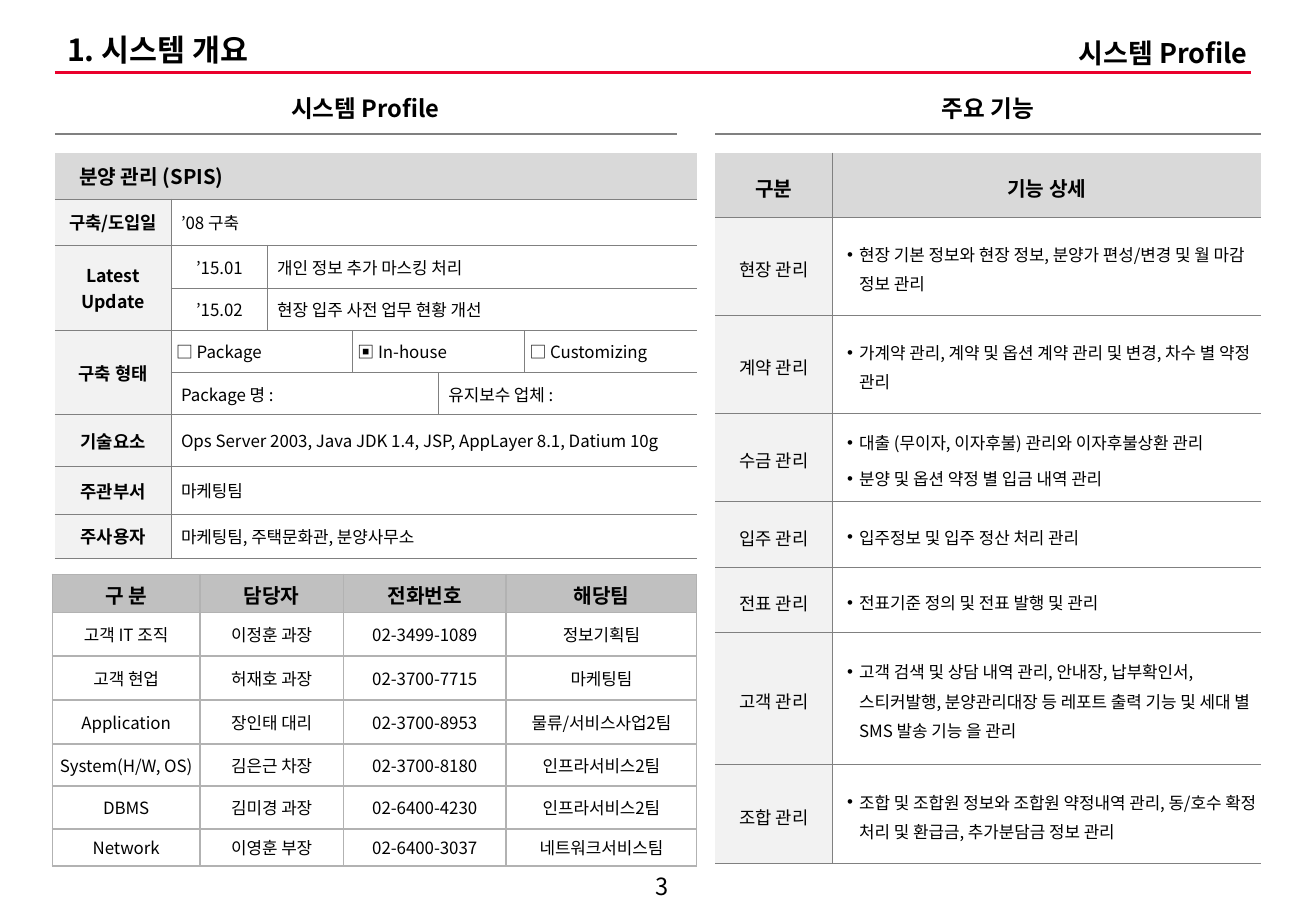
"""Build the system profile slide."""
from pptx import Presentation
from pptx.dml.color import RGBColor
from pptx.enum import shapes, text
from pptx.oxml import ns, xmlchemy
from pptx.util import Pt

FONT = "Noto Sans CJK KR"
BLACK = RGBColor(0x00, 0x00, 0x00)
WHITE = RGBColor(0xFF, 0xFF, 0xFF)
RED = RGBColor(0xEA, 0x00, 0x2C)
GRAY = RGBColor(0x80, 0x80, 0x80)
SILVER = RGBColor(0xB2, 0xB2, 0xB2)
HEAD = RGBColor(0xD9, 0xD9, 0xD9)
DARK = RGBColor(0xC0, 0xC0, 0xC0)
PALE = RGBColor(0xF2, 0xF2, 0xF2)
LEFT, MID, RIGHT = text.PP_ALIGN.LEFT, text.PP_ALIGN.CENTER, text.PP_ALIGN.RIGHT

TITLE = "1. 시스템 개요"
LABELS = [
    ("시스템 Profile", 549.5, 18, 197, 26.5, 16, True, RIGHT, text.MSO_ANCHOR.TOP),
    ("시스템 Profile", 159, 52, 115, 24.5, 14, True, MID, text.MSO_ANCHOR.TOP),
    ("주요 기능", 545, 52, 81, 24.5, 14, True, MID, text.MSO_ANCHOR.TOP),
    ("3", 367, 514, 51, 22.5, 14, False, MID, text.MSO_ANCHOR.MIDDLE),
]
RULES = [(32.5, 741.5, 43, RED, 2.25), (32.5, 401, 79.5, GRAY, 1.5),
         (424, 747.5, 79.5, GRAY, 1.5)]

# Each entry: text, columns spanned, rows spanned
PROFILE = [
    [("분양 관리 (SPIS)", 6, 1)],
    [("구축/도입일", 1, 1), ("’08 구축", 5, 1)],
    [("Latest\nUpdate", 1, 2), ("’15.01", 1, 1), ("개인 정보 추가 마스킹 처리", 4, 1)],
    [("’15.02", 1, 1), ("현장 입주 사전 업무 현황 개선", 4, 1)],
    [("구축 형태", 1, 2), ("□ Package", 2, 1), ("▣ In-house", 2, 1),
     ("□ Customizing", 1, 1)],
    [("Package 명 :", 3, 1), ("유지보수 업체 :", 2, 1)],
    [("기술요소", 1, 1),
     ("Ops Server 2003, Java JDK 1.4, JSP, AppLayer 8.1, Datium 10g", 5, 1)],
    [("주관부서", 1, 1), ("마케팅팀", 5, 1)],
    [("주사용자", 1, 1), ("마케팅팀, 주택문화관, 분양사무소", 5, 1)],
]
STAFF = [
    ("구 분", "담당자", "전화번호", "해당팀"),
    ("고객 IT 조직", "이정훈 과장", "02-3499-1089", "정보기획팀"),
    ("고객 현업", "허재호 과장", "02-3700-7715", "마케팅팀"),
    ("Application", "장인태 대리", "02-3700-8953", "물류/서비스사업2팀"),
    ("System(H/W, OS)", "김은근 차장", "02-3700-8180", "인프라서비스2팀"),
    ("DBMS", "김미경 과장", "02-6400-4230", "인프라서비스2팀"),
    ("Network", "이영훈 부장", "02-6400-3037", "네트워크서비스팀"),
]
TASKS = [
    ("구분", "기능 상세"),
    ("현장 관리", "현장 기본 정보와 현장 정보, 분양가 편성/변경 및 월 마감 정보 관리"),
    ("계약 관리", "가계약 관리, 계약 및 옵션 계약 관리 및 변경, 차수 별 약정 관리"),
    ("수금 관리", "대출 (무이자, 이자후불) 관리와 이자후불상환 관리\n"
     "분양 및 옵션 약정 별 입금 내역 관리"),
    ("입주 관리", "입주정보 및 입주 정산 처리 관리"),
    ("전표 관리", "전표기준 정의 및 전표 발행 및 관리"),
    ("고객 관리", "고객 검색 및 상담 내역 관리, 안내장, 납부확인서, 스티커발행, "
     "분양관리대장 등 레포트 출력 기능 및 세대 별 SMS 발송 기능 을 관리"),
    ("조합 관리", "조합 및 조합원 정보와 조합원 약정내역 관리, 동/호수 확정 처리 및 "
     "환급금, 추가분담금 정보 관리"),
]


def add(node, tag, **attrs):
    kid = xmlchemy.OxmlElement(tag)
    for key, val in attrs.items():
        kid.set(key, str(val))
    node.append(kid)
    return kid


def write(frame, words, size, bold, align, gap=0, ratio=None, dot=False):
    for i, line in enumerate(words.split("\n")):
        para = frame.paragraphs[0] if i == 0 else frame.add_paragraph()
        if dot:
            props = para._p.get_or_add_pPr()
            props.set("marL", str(Pt(7.2)))
            props.set("indent", str(Pt(-7.2)))
            add(props, "a:buFont", typeface="Arial")
            add(props, "a:buChar", char="•")
        para.alignment = align
        para.line_spacing = ratio
        para.space_before = Pt(gap if i else 0)
        para.space_after = Pt(gap)
        run = para.add_run()
        run.text = line
        font = run.font
        font.size, font.bold, font.name = Pt(size), bold, FONT
        font.color.rgb = BLACK
        add(run._r.get_or_add_rPr(), "a:ea", typeface=FONT)


def edge(cell, tones, width):
    props = cell._tc.get_or_add_tcPr()
    for i, (side, tone) in enumerate(zip("LRTB", tones)):
        line = xmlchemy.OxmlElement(f"a:ln{side}")
        line.set("w", str(Pt(width)))
        if tone is None:
            add(line, "a:noFill")
        else:
            add(add(line, "a:solidFill"), "a:srgbClr", val=tone)
        props.insert(i, line)


def grid(slide, x, y, cols, rows):
    frame = slide.shapes.add_table(len(rows), len(cols), Pt(x), Pt(y),
                                   Pt(sum(cols)), Pt(sum(rows)))
    table = frame.table
    table.first_row = table.horz_banding = False
    for col, width in zip(table.columns, cols):
        col.width = Pt(width)
    for row, height in zip(table.rows, rows):
        row.height = Pt(height)
    return table


def dress(cell, fill, pads):
    cell.fill.solid()
    cell.fill.fore_color.rgb = fill
    cell.vertical_anchor = text.MSO_ANCHOR.MIDDLE
    cell.margin_left, cell.margin_right, cell.margin_top, cell.margin_bottom = map(Pt, pads)


def frame(table, r, c, wide=1, tall=1):
    last = len(table.columns)
    for i in range(r, r + tall):
        for j in range(c, c + wide):
            edge(table.cell(i, j), (GRAY if c else None,
                                    GRAY if c + wide < last else None,
                                    GRAY if r else None, GRAY), 0.75)


def profile(slide):
    table = grid(slide, 32.5, 90.5, [69, 57, 50.5, 51, 51, 102],
                 [27.5, 27.5, 25.5, 25, 25, 25, 30.5, 28.5, 26])
    used = set()
    for r, row in enumerate(PROFILE):
        c = 0
        for words, wide, tall in row:
            while (r, c) in used:
                c += 1
            used |= {(r + i, c + j) for i in range(tall) for j in range(wide)}
            cell = table.cell(r, c)
            if wide * tall > 1:
                cell.merge(table.cell(r + tall - 1, c + wide - 1))
            if r == 0:
                look = HEAD, 14.4, 12, True, LEFT
            elif c == 0:
                look = PALE, 0, 10.5, True, MID
            else:
                side = 2.9 if words[0] in "□▣" else 5.8
                look = WHITE, side, 10, False, MID if words.startswith("’15") else LEFT
            fill, pad, size, bold, align = look
            dress(cell, fill, (pad, min(pad, 5.8), 3.6, 3.6))
            write(cell.text_frame, words, size, bold, align)
            frame(table, r, c, wide, tall)


def staff(slide):
    table = grid(slide, 31, 340.5, [87.5, 85, 96.5, 113],
                 [22.5, 26, 26, 26, 25, 25.5, 22])
    for r, row in enumerate(STAFF):
        for c, words in enumerate(row):
            cell, top = table.cell(r, c), r == 0
            pad = 7.9 if c or top else 0
            dress(cell, DARK if top else WHITE, (pad, pad, 3.6, 3.6))
            write(cell.text_frame, words, 12 if top else 10, top, MID)
            edge(cell, [SILVER] * 4, 1)


def tasks(slide):
    table = grid(slide, 424, 90.5, [69.5, 254],
                 [38.5, 58, 58, 52.5, 39, 38.5, 78, 59])
    for r, row in enumerate(TASKS):
        for c, words in enumerate(row):
            cell, top = table.cell(r, c), r == 0
            body = c == 1 and not top
            fill = HEAD if top else WHITE if body else PALE
            dress(cell, fill, (8.6, 2.9, 7.2, 7.2) if body else (2.9,) * 4)
            write(cell.text_frame, words, 12 if top else 10 if body else 10.5,
                  top, LEFT if body else MID, 2, 1.2, body)
            frame(table, r, c)


def main():
    deck = Presentation()
    deck.slide_width, deck.slide_height = Pt(780), Pt(540)
    slide = deck.slides.add_slide(deck.slide_layouts[5])
    title = slide.shapes.title
    title.left, title.top, title.width, title.height = map(Pt, (32.5, 17, 578, 27))
    title.text_frame.vertical_anchor = text.MSO_ANCHOR.MIDDLE
    write(title.text_frame, TITLE, 18, True, LEFT, ratio=0.9)
    for x, end, y, tone, width in RULES:
        rule = slide.shapes.add_connector(shapes.MSO_CONNECTOR.STRAIGHT,
                                          Pt(x), Pt(y), Pt(end), Pt(y))
        rule.line.color.rgb, rule.line.width = tone, Pt(width)
        rule._element.find(ns.qn("p:spPr")).append(xmlchemy.OxmlElement("a:effectLst"))
    for words, x, y, w, h, size, bold, align, anchor in LABELS:
        box = slide.shapes.add_textbox(Pt(x), Pt(y), Pt(w), Pt(h)).text_frame
        box.word_wrap, box.vertical_anchor = True, anchor
        write(box, words, size, bold, align)
    profile(slide)
    staff(slide)
    tasks(slide)
    deck.save("out.pptx")


if __name__ == "__main__":
    main()
